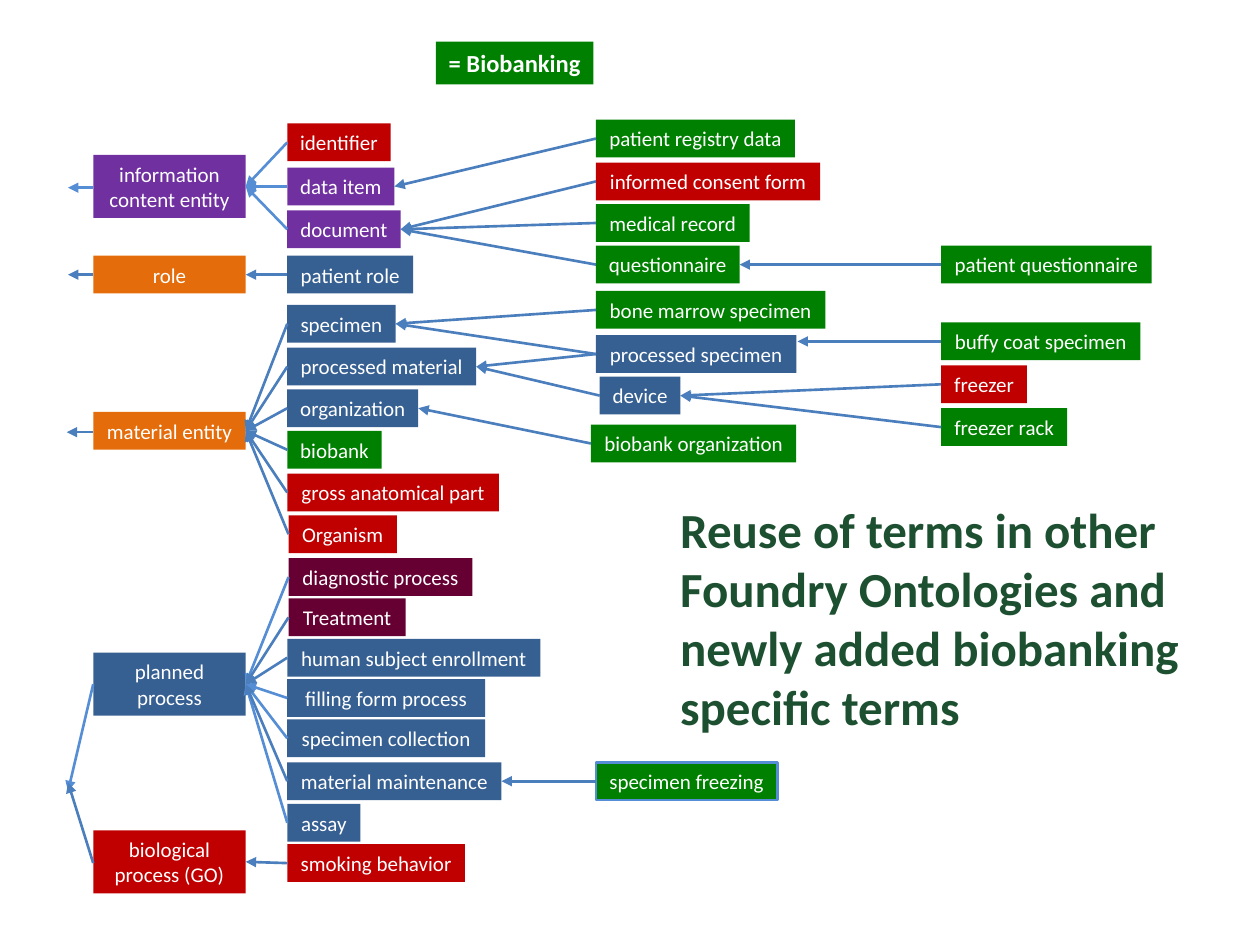
from typing import NamedTuple

from lxml import etree
from pptx import Presentation
from pptx.dml.color import RGBColor
from pptx.enum.shapes import MSO_CONNECTOR, MSO_SHAPE
from pptx.enum.text import MSO_ANCHOR, MSO_AUTO_SIZE, PP_ALIGN
from pptx.oxml.ns import qn
from pptx.util import Inches, Pt

STRAIGHT = MSO_CONNECTOR.STRAIGHT
RECTANGLE = MSO_SHAPE.RECTANGLE
MIDDLE = MSO_ANCHOR.MIDDLE
FIT_SHAPE = MSO_AUTO_SIZE.SHAPE_TO_FIT_TEXT
CENTER = PP_ALIGN.CENTER
LEFT = PP_ALIGN.LEFT

FONT = "Calibri"
COLORS = {
    "green": "008000",
    "purple": "7030A0",
    "blue": "376092",
    "red": "C00000",
    "orange": "E46C0A",
    "maroon": "660033",
    "light line": "558ED5",
    "line": "4B7EBC",
    "title": "1C5030",
    "white": "FFFFFF",
}

ROOT, BRANCH, LEAF, DETAIL = 0.74, 2.28, 4.73, 7.47
ROOT_WIDTH = 1.21


class Term(NamedTuple):
    text: str
    left: float
    top: float
    width: float
    color: str
    height: float = 0.3
    wrap: bool = False
    size: int = 12
    bold: bool = False
    outline: str = ""

    @property
    def right(self) -> float:
        return self.left + self.width

    @property
    def middle(self) -> float:
        return self.top + self.height / 2


class Family(NamedTuple):
    parent: str
    children: tuple
    color: str = "line"


class Arrow(NamedTuple):
    start: tuple
    end: tuple
    color: str = "line"


TERMS = [
    Term("= Biobanking", 3.46, 0.33, 1.25, "green", 0.34, True, 14, True),
    Term("information\ncontent entity", ROOT, 1.23, ROOT_WIDTH, "purple", 0.5, True),
    Term("role", ROOT, 2.03, ROOT_WIDTH, "orange", wrap=True),
    Term("material entity", ROOT, 3.27, ROOT_WIDTH, "orange"),
    Term("planned\nprocess", ROOT, 5.18, ROOT_WIDTH, "blue", 0.5, True),
    Term("biological\nprocess (GO)", ROOT, 6.59, ROOT_WIDTH, "red", 0.5, True),
    Term("identifier", BRANCH, 0.98, 0.82, "red"),
    Term("data item", BRANCH, 1.33, 0.85, "purple"),
    Term("document", BRANCH, 1.67, 0.9, "purple"),
    Term("patient role", BRANCH, 2.03, 1, "blue"),
    Term("specimen", BRANCH, 2.42, 0.86, "blue"),
    Term("processed material", BRANCH, 2.76, 1.5, "blue"),
    Term("organization", BRANCH, 3.09, 1.04, "blue"),
    Term("biobank", BRANCH, 3.42, 0.75, "green"),
    Term("gross anatomical part", BRANCH, 3.76, 1.68, "red"),
    Term("Organism", 2.29, 4.09, 0.86, "red"),
    Term("diagnostic process", 2.29, 4.43, 1.46, "maroon"),
    Term("Treatment", 2.29, 4.75, 0.93, "maroon"),
    Term("human subject enrollment", BRANCH, 5.07, 2.01, "blue"),
    Term("filling form process", BRANCH, 5.39, 1.57, "blue", wrap=True),
    Term("specimen collection", BRANCH, 5.71, 1.57, "blue", wrap=True),
    Term("material maintenance", BRANCH, 6.05, 1.7, "blue"),
    Term("assay", BRANCH, 6.38, 0.58, "blue"),
    Term("smoking behavior", BRANCH, 6.7, 1.41, "red"),
    Term("patient registry data", LEAF, 0.95, 1.58, "green"),
    Term("informed consent form", LEAF, 1.29, 1.78, "red"),
    Term("medical record", LEAF, 1.62, 1.22, "green"),
    Term("questionnaire", LEAF, 1.95, 1.14, "green"),
    Term("bone marrow specimen", LEAF, 2.31, 1.82, "green"),
    Term("processed specimen", LEAF, 2.66, 1.59, "blue"),
    Term("device", 4.76, 2.99, 0.64, "blue"),
    Term("biobank organization", 4.69, 3.37, 1.63, "green"),
    Term("specimen freezing", LEAF, 6.05, 1.44, "green", outline="light line"),
    Term("patient questionnaire", DETAIL, 1.95, 1.67, "green"),
    Term("buffy coat specimen", DETAIL, 2.56, 1.58, "green"),
    Term("freezer", DETAIL, 2.9, 0.68, "red"),
    Term("freezer rack", DETAIL, 3.24, 1, "green"),
]

FAMILIES = [
    Family("information\ncontent entity", ("identifier", "data item", "document"), "light line"),
    Family("role", ("patient role",)),
    Family("material entity", ("specimen", "processed material", "organization",
                               "biobank", "gross anatomical part", "Organism")),
    Family("planned\nprocess", ("diagnostic process", "filling form process",
                                "specimen collection", "assay"), "light line"),
    Family("planned\nprocess", ("Treatment", "human subject enrollment",
                                "material maintenance")),
    Family("biological\nprocess (GO)", ("smoking behavior",)),
    Family("data item", ("patient registry data",)),
    Family("document", ("informed consent form", "medical record", "questionnaire")),
    Family("specimen", ("bone marrow specimen", "processed specimen")),
    Family("processed material", ("processed specimen", "device")),
    Family("organization", ("biobank organization",)),
    Family("material maintenance", ("specimen freezing",)),
    Family("questionnaire", ("patient questionnaire",)),
    Family("device", ("freezer", "freezer rack")),
]

OUTER_ARROWS = [
    Arrow((ROOT, 1.49), (0.54, 1.49), "light line"),
    Arrow((ROOT, 2.18), (0.54, 2.18)),
    Arrow((ROOT, 3.43), (0.53, 3.43)),
    Arrow((ROOT, 5.43), (0.54, 6.28), "light line"),
    Arrow((ROOT, 6.85), (0.54, 6.21)),
    Arrow((DETAIL, 2.71), (6.33, 2.71)),
]


def rgb(name: str) -> RGBColor:
    return RGBColor.from_string(COLORS[name])


def add_text(paragraph, text: str, size: int, color: str, bold: bool) -> None:
    run = paragraph.add_run()
    run.text = text
    run.font.name = FONT
    run.font.size = Pt(size)
    run.font.bold = bold
    run.font.color.rgb = rgb(color)


def draw_term(slide, term: Term) -> None:
    shape = slide.shapes.add_shape(
        RECTANGLE, Inches(term.left), Inches(term.top), Inches(term.width), Inches(term.height))
    shape.shadow.inherit = False
    shape.fill.solid()
    shape.fill.fore_color.rgb = rgb(term.color)
    if term.outline:
        shape.line.color.rgb = rgb(term.outline)
        shape.line.width = Pt(1.5)
    else:
        shape.line.fill.background()
    frame = shape.text_frame
    frame.word_wrap = term.wrap
    frame.auto_size = FIT_SHAPE
    for index, line in enumerate(term.text.split("\n")):
        paragraph = frame.add_paragraph() if index else frame.paragraphs[0]
        paragraph.alignment = CENTER
        add_text(paragraph, line, term.size, "white", term.bold)


def draw_arrow(slide, arrow: Arrow) -> None:
    points = [Inches(value) for value in arrow.start + arrow.end]
    connector = slide.shapes.add_connector(STRAIGHT, *points)
    connector.line.color.rgb = rgb(arrow.color)
    connector.line.width = Pt(1.5)
    etree.SubElement(connector.line._get_or_add_ln(), qn("a:tailEnd"), type="triangle")
    etree.SubElement(connector._element.spPr, qn("a:effectLst"))


def draw_title(slide) -> None:
    box = slide.shapes.add_textbox(Inches(5.3), Inches(4.04), Inches(4.38), Inches(1.72))
    frame = box.text_frame
    frame.word_wrap = True
    frame.vertical_anchor = MIDDLE
    paragraph = frame.paragraphs[0]
    paragraph.alignment = LEFT
    add_text(paragraph, "Reuse of terms in other Foundry Ontologies and newly added "
             "biobanking specific terms", 28, "title", True)


def main() -> None:
    presentation = Presentation()
    presentation.slide_width = Inches(10)
    presentation.slide_height = Inches(7.5)
    slide = presentation.slides.add_slide(presentation.slide_layouts[6])
    for term in TERMS:
        draw_term(slide, term)
    terms = {term.text: term for term in TERMS}
    for family in FAMILIES:
        parent = terms[family.parent]
        for name in family.children:
            child = terms[name]
            draw_arrow(slide, Arrow((child.left, child.middle),
                                    (parent.right, parent.middle), family.color))
    for arrow in OUTER_ARROWS:
        draw_arrow(slide, arrow)
    draw_title(slide)
    presentation.save("out.pptx")


if __name__ == "__main__":
    main()
